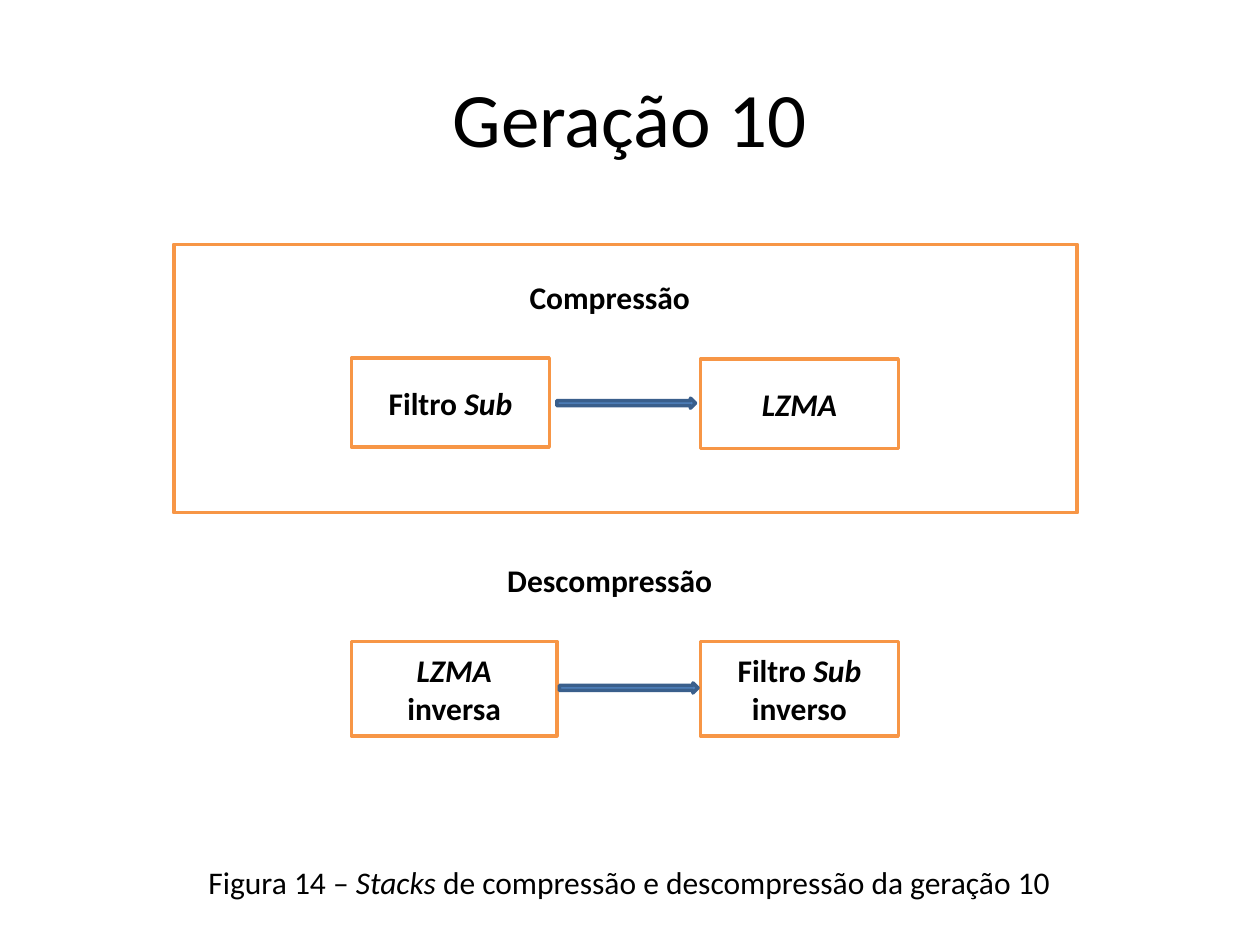
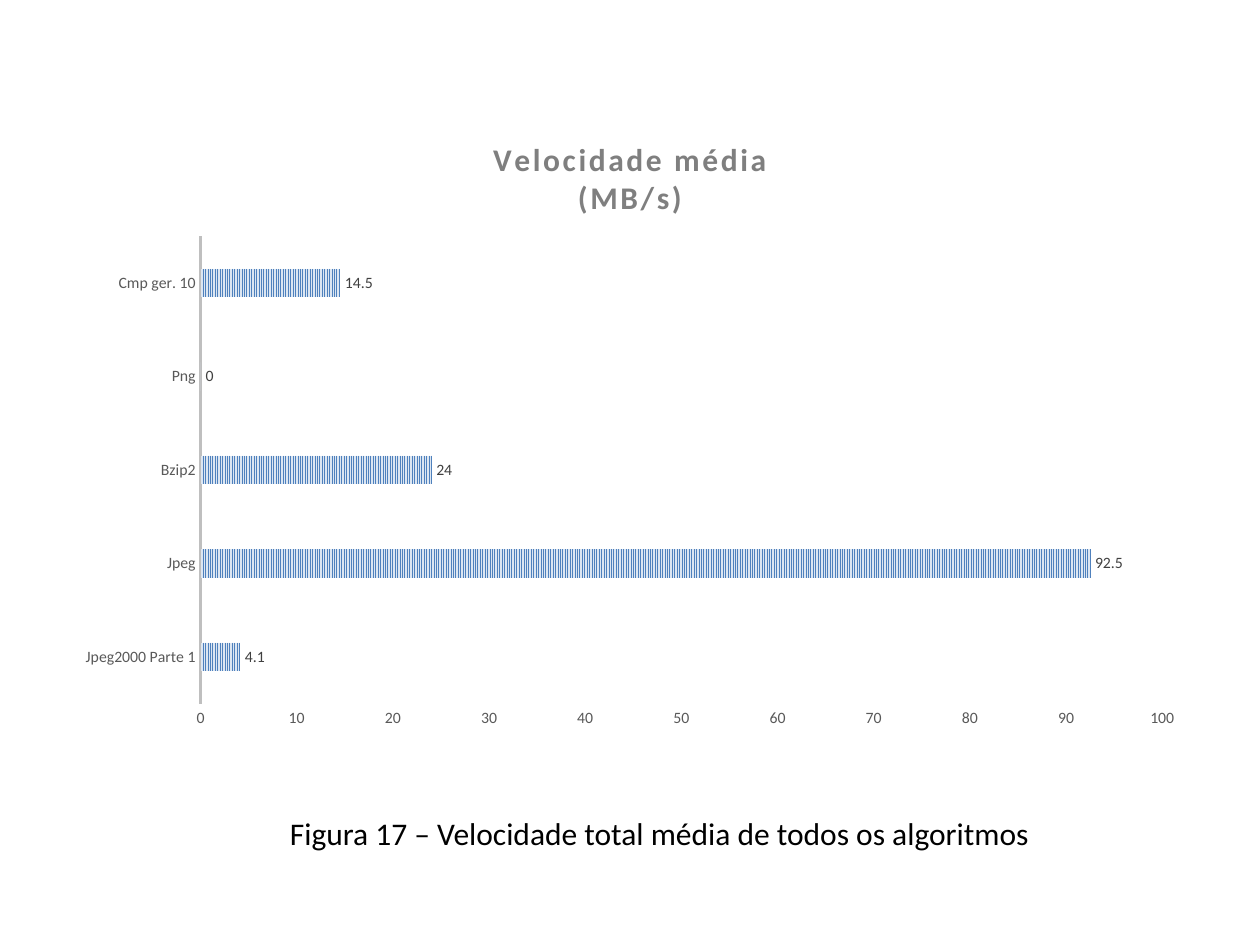
from pptx import Presentation
from pptx.chart.data import CategoryChartData
from pptx.dml.color import RGBColor
from pptx.enum.chart import XL_CHART_TYPE, XL_LABEL_POSITION, XL_TICK_MARK
from pptx.enum.dml import MSO_PATTERN
from pptx.enum.shapes import MSO_SHAPE
from pptx.enum.text import MSO_ANCHOR, PP_ALIGN
from pptx.util import Inches, Pt

BLACK = RGBColor(0x00, 0x00, 0x00)
WHITE = RGBColor(0xFF, 0xFF, 0xFF)
ORANGE = RGBColor(0xF7, 0x96, 0x46)
BLUE = RGBColor(0x4F, 0x81, 0xBD)
DARK_BLUE = RGBColor(0x3A, 0x5F, 0x8C)
PALE_BLUE = RGBColor(0xDC, 0xE6, 0xF2)
LABEL_GRAY = RGBColor(0x40, 0x40, 0x40)
AXIS_GRAY = RGBColor(0x59, 0x59, 0x59)
TITLE_GRAY = RGBColor(0x7F, 0x7F, 0x7F)
LINE_GRAY = RGBColor(0xBF, 0xBF, 0xBF)

RECT, ARROW = MSO_SHAPE.RECTANGLE, MSO_SHAPE.RIGHT_ARROW
CENTER = PP_ALIGN.CENTER
TOP, MIDDLE = MSO_ANCHOR.TOP, MSO_ANCHOR.MIDDLE
BAR, OUTSIDE_END = XL_CHART_TYPE.BAR_CLUSTERED, XL_LABEL_POSITION.OUTSIDE_END
NO_TICK, STRIPES = XL_TICK_MARK.NONE, MSO_PATTERN.NARROW_VERTICAL


class Deck:
    font = "Calibri"
    body_size = 18
    title_size = 44

    def __init__(self):
        self.prs = Presentation()
        self.prs.slide_width, self.prs.slide_height = Inches(10), Inches(7.5)

    def new_slide(self):
        self.s = self.prs.slides.add_slide(self.prs.slide_layouts[6])

    def style(self, font, size, color=BLACK, **extra):
        values = {"name": self.font, "size": Pt(size), **extra}
        for key, value in values.items():
            setattr(font, key, value)
        font.color.rgb = color

    def fill_text(self, tf, paragraphs, size=body_size, bold=False, anchor=TOP):
        tf.word_wrap = True
        tf.vertical_anchor = anchor
        for i, runs in enumerate(paragraphs):
            p = tf.add_paragraph() if i else tf.paragraphs[0]
            p.alignment = CENTER
            for text, italic in runs:
                r = p.add_run()
                r.text = text
                self.style(r.font, size, bold=bold, italic=italic)

    def text(self, box, runs, **fmt):
        tb = self.s.shapes.add_textbox(*map(Inches, box))
        self.fill_text(tb.text_frame, [runs], **fmt)

    def title(self, text):
        self.text((0.5, 0.3, 9, 1.25), [(text, False)],
                  size=self.title_size, anchor=MIDDLE)

    def shape(self, kind, box, fill, line):
        sp = self.s.shapes.add_shape(kind, *map(Inches, box))
        sp.shadow.inherit = False
        if fill is None:
            sp.fill.background()
        else:
            sp.fill.solid()
            sp.fill.fore_color.rgb = fill
        sp.line.color.rgb = line
        sp.line.width = Pt(2)
        return sp

    def frame(self, box):
        self.shape(RECT, box, None, ORANGE)

    def step(self, box, paragraphs):
        sp = self.shape(RECT, box, WHITE, ORANGE)
        self.fill_text(sp.text_frame, paragraphs, bold=True, anchor=MIDDLE)

    def arrow(self, left, top):
        self.shape(ARROW, (left, top, 1.1, 0.08), BLUE, DARK_BLUE)

    def heading(self, top, text):
        self.text((3.66, top, 2.36, 0.41), [(text, False)], bold=True)

    def bar_chart(self, box, title_lines, values):
        data = CategoryChartData()
        data.categories = list(values)
        data.add_series("Velocidade média (MB/s)", list(values.values()))
        chart = self.s.shapes.add_chart(BAR, *map(Inches, box), data).chart
        self.style(chart.font, 10)
        chart.has_legend = False
        self.chart_title(chart, title_lines)

        category, value = chart.category_axis, chart.value_axis
        for axis in (category, value):
            axis.major_tick_mark = axis.minor_tick_mark = NO_TICK
            axis.has_major_gridlines = False
            self.style(axis.tick_labels.font, 9, AXIS_GRAY)
        category.format.line.color.rgb = LINE_GRAY
        category.format.line.width = Pt(1.5)
        value.format.line.fill.background()
        scale = {"minimum_scale": 0, "maximum_scale": 100, "major_unit": 10}
        for key, number in scale.items():
            setattr(value, key, number)

        plot = chart.plots[0]
        plot.gap_width, plot.overlap = 227, -48
        plot.vary_by_categories = False
        fill = plot.series[0].format.fill
        fill.patterned()
        fill.pattern = STRIPES
        fill.fore_color.rgb, fill.back_color.rgb = BLUE, PALE_BLUE
        plot.has_data_labels = True
        labels = plot.data_labels
        labels.show_value, labels.position = True, OUTSIDE_END
        self.style(labels.font, 9, LABEL_GRAY)

    def chart_title(self, chart, lines):
        tf = chart.chart_title.text_frame
        for i, line in enumerate(lines):
            p = tf.add_paragraph() if i else tf.paragraphs[0]
            r = p.add_run()
            r.text = line
            self.style(r.font, self.body_size, TITLE_GRAY, bold=True)
            r._r.get_or_add_rPr().set("spc", "150")
        chart.chart_title.include_in_layout = False


deck = Deck()
left_x, right_x, step_w = 2.79, 5.56, 1.57
filter_sub = [("Filtro ", False), ("Sub", True)]
lzma = [("LZMA", True)]

deck.new_slide()
deck.title("Geração 10")
deck.step((left_x, 2.84, step_w, 0.71), [filter_sub])
deck.step((right_x, 2.85, step_w, 0.71), [lzma])
deck.arrow(4.42, 3.16)
deck.frame((1.38, 1.94, 7.17, 2.13))
deck.heading(2.16, "Compressão")
deck.step((left_x, 5.09, 1.63, 0.75), [lzma, [("inversa", False)]])
deck.step((right_x, 5.09, step_w, 0.75), [filter_sub, [("inverso", False)]])
deck.arrow(4.44, 5.42)
deck.heading(4.4, "Descompressão")
deck.text((1.48, 6.8, 7.03, 0.4), [
    ("Figura 14 – ", False),
    ("Stacks ", True),
    ("de compressão e descompressão da geração 10", False),
])

deck.new_slide()
deck.bar_chart((0.5, 0.92, 9, 4.95), ["Velocidade média", "(MB/s)"], {
    "Jpeg2000 Parte 1": 4.1,
    "Jpeg": 92.5,
    "Bzip2": 24,
    "Png": 0,
    "Cmp ger. 10": 14.5,
})
deck.text((1.17, 6.41, 8.13, 0.4),
          [("Figura 17 – Velocidade total média de todos os algoritmos", False)])

deck.prs.save("out.pptx")
